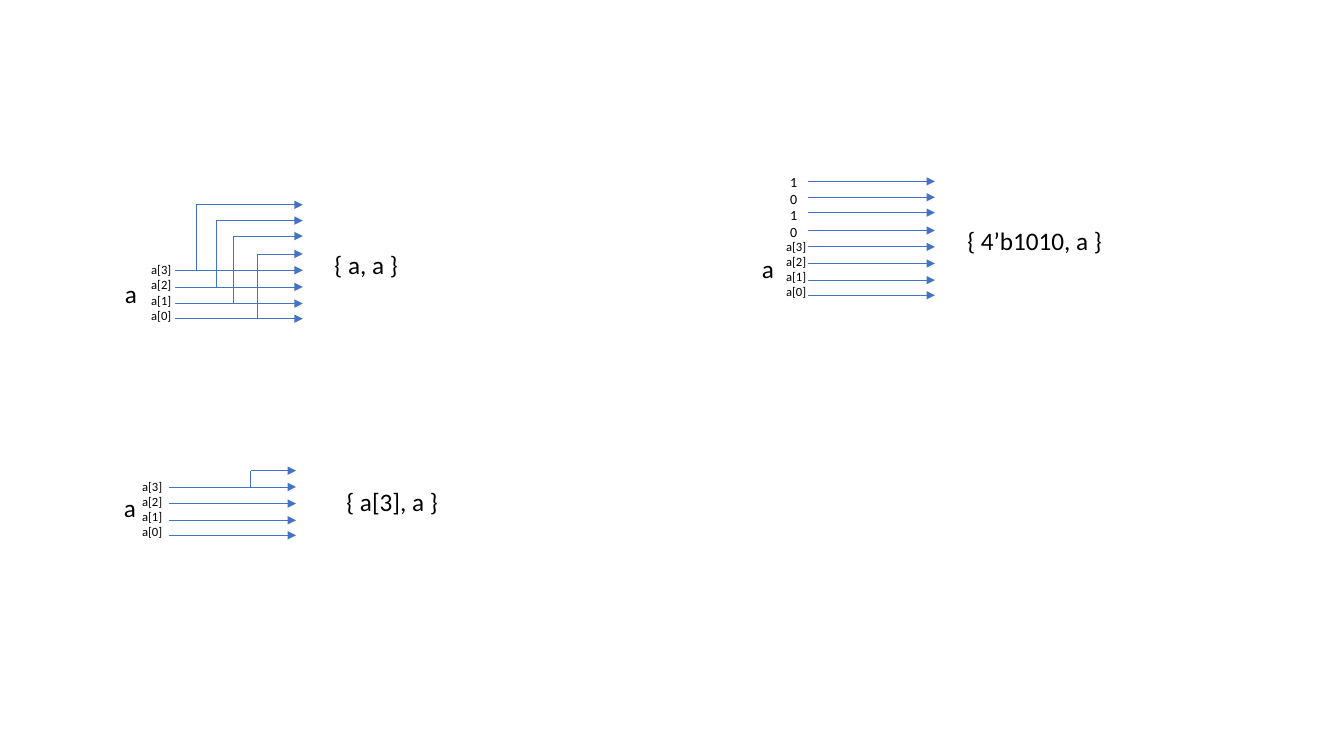
from pptx import Presentation
from pptx.dml.color import RGBColor
from pptx.enum.shapes import MSO_CONNECTOR as CONN
from pptx.enum.text import MSO_AUTO_SIZE as AUTO
from pptx.oxml.ns import qn
from pptx.util import Cm, Pt
from lxml.etree import SubElement

BLUE = RGBColor(0x44, 0x72, 0xC4)
BLACK = RGBColor(0, 0, 0)
HIGH = [-1.65, -1.25, -0.86, -0.41]
LOW = [0, 0.42, 0.84, 1.22]
BUS = [f"a[{i}]" for i in (3, 2, 1, 0)]
LENGTH = 3.21


class WireSlide:
    """Draws wires and labels on one slide in a single style."""

    def __init__(self, s, font="Calibri"):
        self.s, self.font = s, font

    def text(self, x, y, w, h, lines, size=18):
        box = self.s.shapes.add_textbox(Cm(x), Cm(y), Cm(w), Cm(h))
        tf = box.text_frame
        tf.word_wrap = False
        tf.auto_size = AUTO.SHAPE_TO_FIT_TEXT
        for i, line in enumerate(lines):
            p = tf.add_paragraph() if i else tf.paragraphs[0]
            r = p.add_run()
            r.text = line
            r.font.name, r.font.size = self.font, Pt(size)
            r.font.color.rgb = BLACK

    def wire(self, x1, y1, x2, y2, arrow=True):
        c = self.s.shapes.add_connector(CONN.STRAIGHT, Cm(x1), Cm(y1), Cm(x2), Cm(y2))
        c.line.color.rgb = BLUE
        c.line.width = Pt(0.5)
        if arrow:
            SubElement(c.line._get_or_add_ln(), qn("a:tailEnd"), type="triangle")
        SubElement(c._element.spPr, qn("a:effectLst"))

    def wires(self, x, y, offsets):
        for dy in offsets:
            self.wire(x, y + dy, x + LENGTH, y + dy)

    def branch(self, x, top, bottom, end):
        self.wire(x, top, x, bottom, arrow=False)
        self.wire(x, top, end, top)

    def bus(self, x, y, label_x, name_x, name_y):
        self.wires(x, y, LOW)
        self.text(label_x, y - 0.33, 1.02, 1.8, BUS, 9)
        self.text(name_x, name_y, 0.81, 1.02, ["a"])


def main():
    prs = Presentation()
    prs.slide_width, prs.slide_height = Cm(33.87), Cm(19.05)
    d = WireSlide(prs.slides.add_slide(prs.slide_layouts[6]))

    x, y = 4.42, 6.81
    d.bus(x, y, 3.56, 2.9, 6.88)
    for bx, high, low in zip([4.95, 5.44, 5.89, 6.48], HIGH, LOW):
        d.branch(bx, y + high, y + low, x + LENGTH)
    d.text(8.18, 6.15, 2.13, 1.02, ["{ a, a }"])

    x, y = 4.25, 12.27
    d.bus(x, y, 3.33, 2.87, 12.27)
    d.branch(6.32, y + HIGH[-1], y, x + LENGTH)
    d.text(8.48, 12.12, 2.84, 1.02, ["{ a[3], a }"])

    x, y = 20.35, 6.22
    d.bus(x, y, 19.56, 18.95, 6.25)
    d.wires(x, y, HIGH)
    d.text(19.66, 4.24, 0.69, 1.96, "1010", 10)
    d.text(24.13, 5.56, 3.94, 1.02, ["{ 4’b1010, a }"])

    prs.save("out.pptx")


if __name__ == "__main__":
    main()
